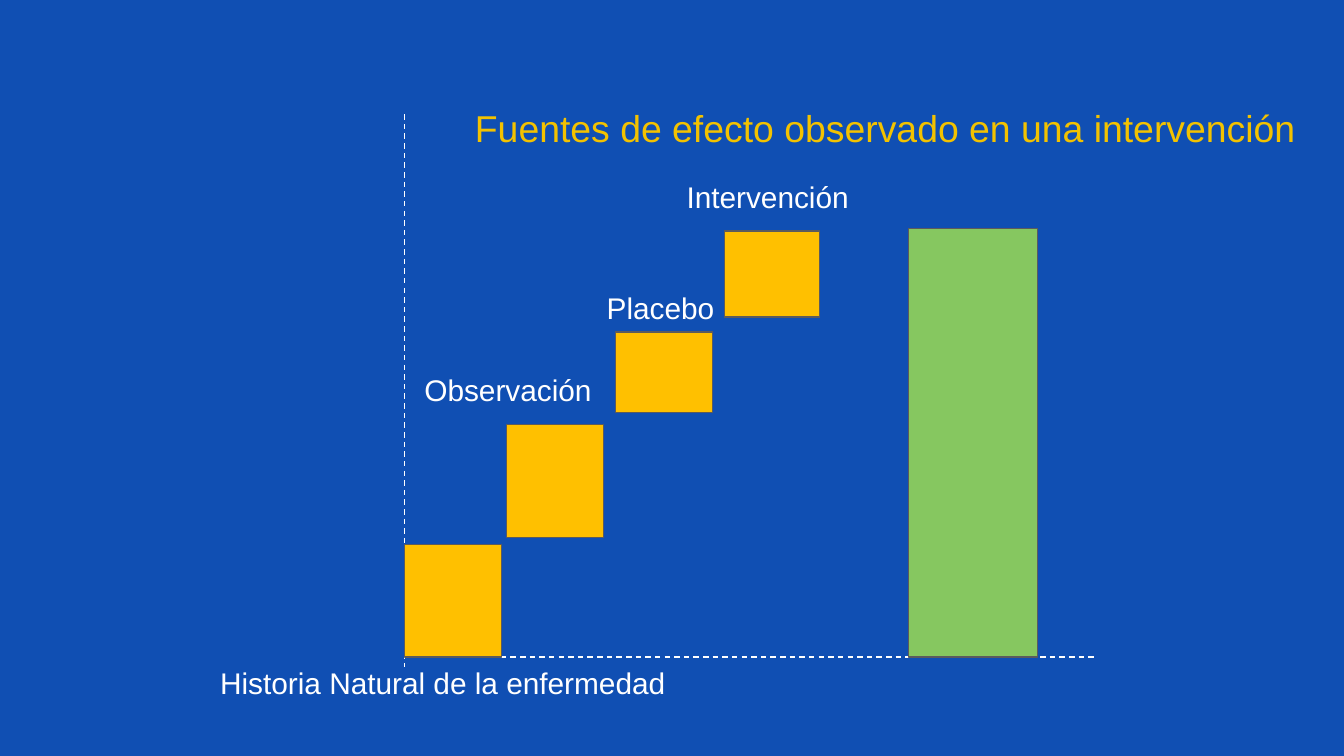
from pptx import Presentation
from pptx.dml.color import RGBColor
from pptx.enum.dml import MSO_LINE_DASH_STYLE as DASH
from pptx.enum.shapes import MSO_CONNECTOR, MSO_SHAPE
from pptx.enum.text import MSO_AUTO_SIZE, PP_ALIGN
from pptx.oxml.ns import qn
from pptx.util import Inches, Pt
from lxml import etree

COLORS = {"back": "104FB3", "title": "F3C200", "text": "FFFFFF",
          "step": "FFC000", "total": "86C760", "edge": "5B5B5E"}


def rgb(name):
    return RGBColor.from_string(COLORS[name])


def write(tf, text, size=16, color="text", align=PP_ALIGN.LEFT, font="Arial"):
    p = tf.paragraphs[0]
    p.alignment = align
    r = p.add_run()
    r.text = text
    r.font.size, r.font.name = Pt(size), font
    r.font.color.rgb = rgb(color)


class Builder:
    line_width = Pt(0.75)

    def __init__(self, s):
        self.s = s
        s.background.fill.solid()
        s.background.fill.fore_color.rgb = rgb("back")

    def text(self, x, y, w, h, text, wrap=False, **fmt):
        tf = self.s.shapes.add_textbox(*map(Inches, (x, y, w, h))).text_frame
        tf.word_wrap = wrap
        tf.auto_size = MSO_AUTO_SIZE.SHAPE_TO_FIT_TEXT
        write(tf, text, **fmt)

    def axis(self, x1, y1, x2, y2):
        ln = self.s.shapes.add_connector(
            MSO_CONNECTOR.STRAIGHT, *map(Inches, (x1, y1, x2, y2)))
        ln.line.color.rgb = rgb("text")
        ln.line.width = self.line_width
        ln.line.dash_style = DASH.DASH
        etree.SubElement(ln._element.spPr, qn("a:effectLst"))

    def bar(self, x, y, w, h, fill="step"):
        sp = self.s.shapes.add_shape(
            MSO_SHAPE.RECTANGLE, *map(Inches, (x, y, w, h)))
        sp.shadow.inherit = False
        sp.fill.solid()
        sp.fill.fore_color.rgb = rgb(fill)
        sp.line.color.rgb = rgb("edge")
        sp.line.width = self.line_width


# Widescreen slide, 16:9
prs = Presentation()
prs.slide_width = Inches(10)
prs.slide_height = Inches(10 * 9 / 16)
b = Builder(prs.slides.add_slide(prs.slide_layouts[6]))

# Title
b.text(3.19, 0.73, 6.8, 0.44, "Fuentes de efecto observado en una intervención",
       wrap=True, size=20, color="title", align=PP_ALIGN.CENTER)

# Axes
left, base = 3.01, 4.89
b.axis(left, 0.85, left, 4.96)
b.axis(left, base, 8.14, base)

# Rising steps and the total effect
for x, y, w, h in [(left, 4.05, 0.72, 0.84), (3.77, 3.16, 0.72, 0.84),
                   (4.58, 2.47, 0.72, 0.6), (5.39, 1.72, 0.71, 0.64)]:
    b.bar(x, y, w, h)
total_top = 1.7
b.bar(6.76, total_top, 0.96, base - total_top, fill="total")

# Step labels
for x, y, w, label, align in [
        (1.54, 4.9, 3.56, "Historia Natural de la enfermedad", PP_ALIGN.LEFT),
        (3.06, 2.72, 1.46, "Observación", PP_ALIGN.LEFT),
        (4.41, 2.11, 1.01, "Placebo", PP_ALIGN.CENTER),
        (5.01, 1.28, 1.42, "Intervención", PP_ALIGN.LEFT)]:
    b.text(x, y, w, 0.37, label, align=align)

prs.save("out.pptx")
